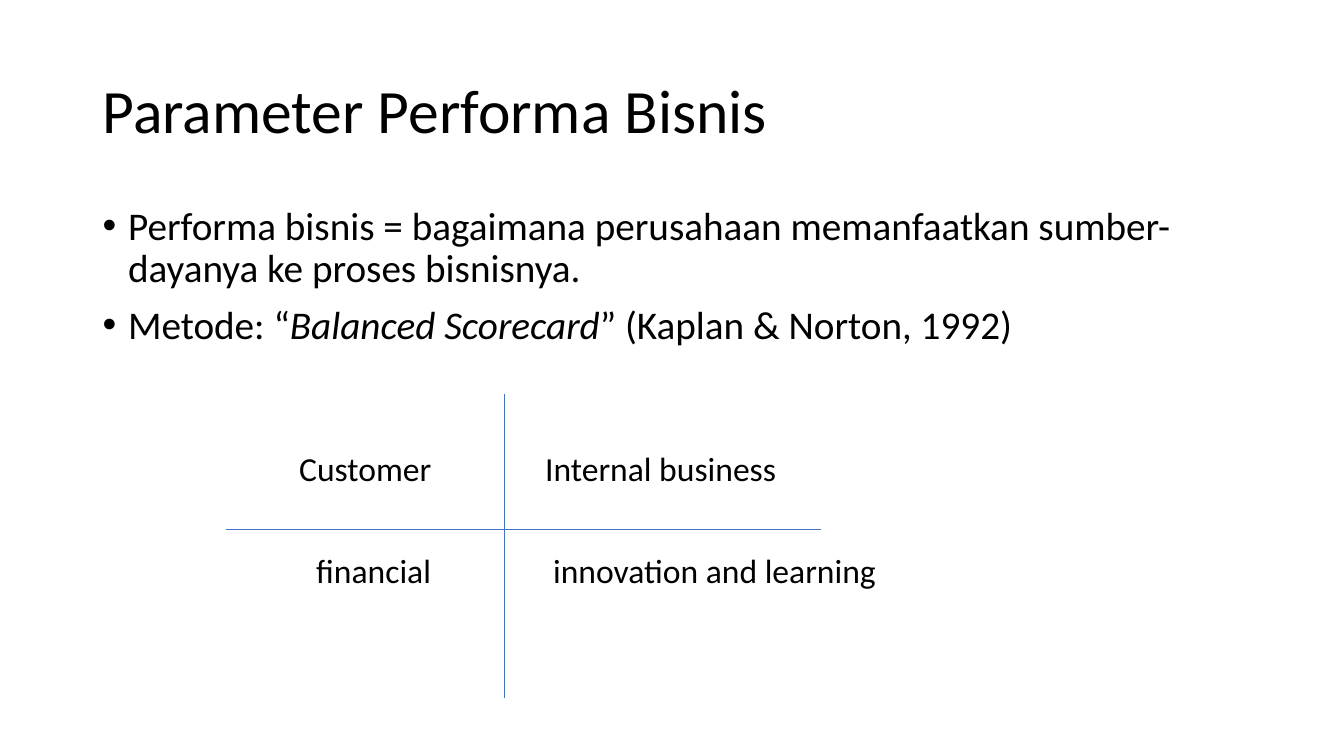
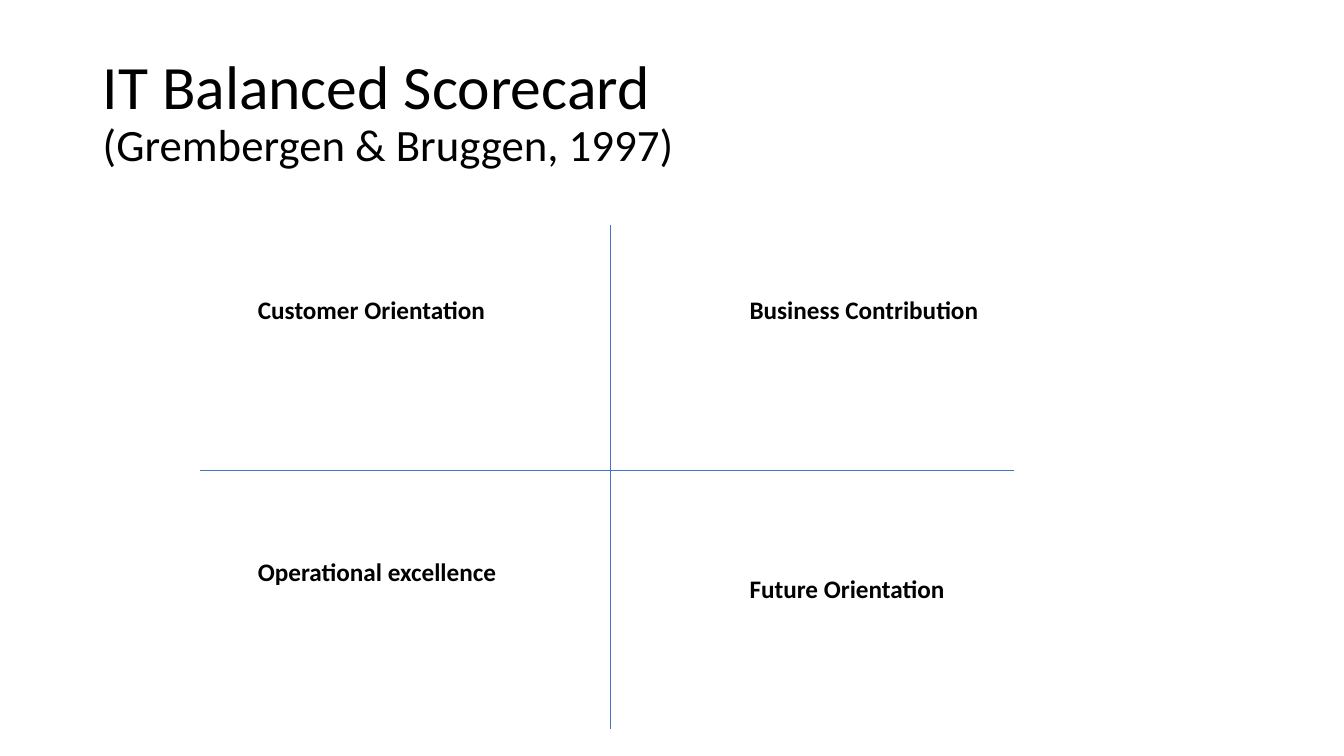
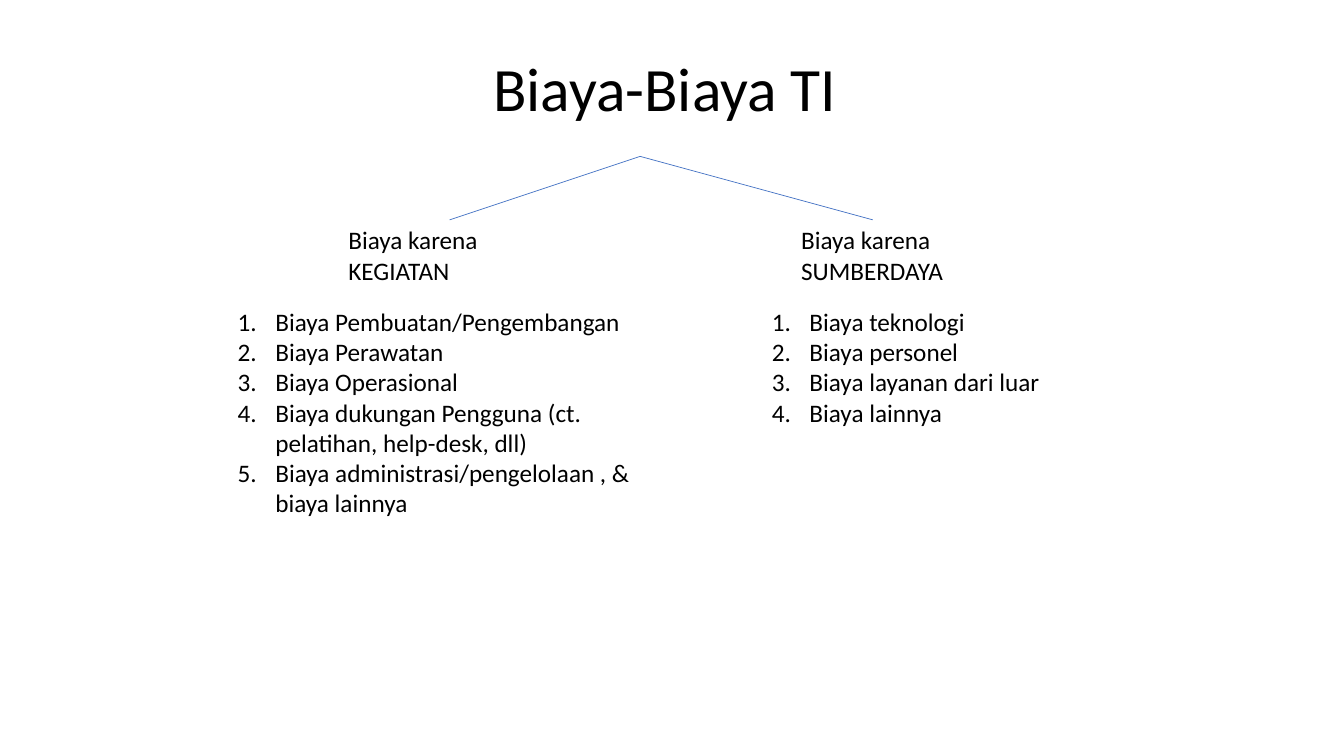
from lxml import etree
from pptx import Presentation
from pptx.dml.color import RGBColor
from pptx.enum.shapes import MSO_CONNECTOR
from pptx.enum.text import MSO_ANCHOR, MSO_AUTO_SIZE, PP_ALIGN
from pptx.oxml.ns import qn
from pptx.util import Cm, Pt

BLACK = RGBColor(0x00, 0x00, 0x00)
BLUE = RGBColor(0x44, 0x72, 0xC4)
WHITE = RGBColor(0xFF, 0xFF, 0xFF)
FONT = "Calibri"
STRAIGHT = MSO_CONNECTOR.STRAIGHT
MIDDLE = MSO_ANCHOR.MIDDLE
GROW = MSO_AUTO_SIZE.SHAPE_TO_FIT_TEXT
LEFT, CENTER = PP_ALIGN.LEFT, PP_ALIGN.CENTER

# Shared formats
TEXT = {"name": FONT, "size": Pt(18)}
BIG = {"size": Pt(44)}
SUB = {"size": Pt(32)}
BODY = {"size": Pt(28)}
LABEL = {"size": Pt(24)}
BOLD = {"bold": True}
LABEL_BOX = {"word_wrap": False, "auto_size": GROW}
LIST_BOX = {"word_wrap": True, "auto_size": GROW}
TITLE_BOX = {"word_wrap": True, "vertical_anchor": MIDDLE}
TIGHT = {"line_spacing": 0.9}
TITLE_AT = (2.34, 1.02, 29.21, 3.68)
DOT = ("buChar", {"char": "•"})
NUMBER = ("buAutoNum", {"type": "arabicPeriod"})


def assign(item, values):
    for key, value in values.items():
        setattr(item, key, value)


def add_text(slide, at, paras, frame, para=None):
    """Each paragraph is a list of (text, format) runs."""
    box = slide.shapes.add_textbox(*map(Cm, at))
    assign(box.text_frame, frame)
    for i, runs in enumerate(paras):
        p = box.text_frame.paragraphs[0] if i == 0 else box.text_frame.add_paragraph()
        assign(p, para or {})
        for text, form in runs:
            run = p.add_run()
            run.text = text
            assign(run.font, {**TEXT, **form})
            run.font.color.rgb = BLACK
    return box


def add_title(slide, lines, at=TITLE_AT, align=LEFT):
    paras = [[line] for line in lines]
    add_text(slide, at, paras, TITLE_BOX, {**TIGHT, "alignment": align})


def add_label(slide, at, lines, form):
    return add_text(slide, at, [[(line, form)] for line in lines], LABEL_BOX)


def add_list(slide, at, paras, mark, indent, frame, para=None):
    box = add_text(slide, at, paras, frame, para)
    tag, values = mark
    for p in box.text_frame.paragraphs:
        props = p._p.get_or_add_pPr()
        props.set("marL", str(Cm(indent)))
        props.set("indent", str(-Cm(indent)))
        font = etree.SubElement(props, qn("a:buFont"))
        font.set("typeface", "Arial" if mark is DOT else "+mj-lt")
        etree.SubElement(props, qn("a:" + tag), values)


def add_line(slide, start, end):
    line = slide.shapes.add_connector(STRAIGHT, *map(Cm, start + end))
    line.line.color.rgb = BLUE
    line.line.width = Pt(0.5)
    etree.SubElement(line._element.spPr, qn("a:effectLst"))
    return line


def add_cross(slide, x, y, left, right, top, bottom):
    add_line(slide, (x, top), (x, bottom))
    add_line(slide, (left, y), (right, y))


def add_slide(deck):
    slide = deck.slides.add_slide(deck.slide_layouts[6])
    slide.background.fill.solid()
    slide.background.fill.fore_color.rgb = WHITE
    return slide


def make_params(deck):
    slide = add_slide(deck)
    add_title(slide, [("Parameter Performa Bisnis", BIG)])
    points = [
        [("Performa bisnis = bagaimana perusahaan memanfaatkan "
          "sumber-dayanya ke proses bisnisnya.", BODY)],
        [("Metode: “", BODY),
         ("Balanced Scorecard", {**BODY, "italic": True}),
         ("” (Kaplan & Norton, 1992)", BODY)],
    ]
    add_list(slide, (2.34, 5.08, 29.21, 4.17), points, DOT, 0.64,
             {"word_wrap": True}, {**TIGHT, "space_before": Pt(10)})
    # Four perspectives
    add_cross(slide, 12.7, 13.34, 5.69, 20.7, 9.93, 17.58)
    for text, x, y, width in (
        ("Customer", 7.29, 11.15, 4.11),
        ("Internal business", 13.49, 11.15, 6.86),
        ("innovation and learning", 13.69, 13.74, 9.37),
        ("financial", 7.72, 13.74, 3.73),
    ):
        add_label(slide, (x, y, width, 1.3), [text], LABEL)


def make_score(deck):
    slide = add_slide(deck)
    add_title(slide, [("IT Balanced Scorecard", BIG),
                      ("(Grembergen & Bruggen, 1997)", SUB)])
    # Four orientations
    add_cross(slide, 15.39, 11.84, 5.03, 25.55, 5.66, 18.36)
    for text, x, y, width in (
        ("Business Contribution", 18.64, 7.29, 7.32),
        ("Customer Orientation", 6.25, 7.29, 7.21),
        ("Operational excellence", 6.25, 13.89, 7.47),
        ("Future Orientation", 18.64, 14.33, 6.3),
    ):
        add_label(slide, (x, y, width, 1.02), [text], BOLD)


def make_costs(deck):
    slide = add_slide(deck)
    add_title(slide, [("Biaya-Biaya TI", BIG)], (5.33, 0.71, 22.86, 3.18), CENTER)
    # Two branches from one apex
    apex, top = (16.13, 3.94), 5.54
    add_label(slide, (8.53, top, 3.81, 1.8), ["Biaya karena", "KEGIATAN"], {})
    source = add_label(slide, (19.94, top, 4.11, 1.8),
                       ["Biaya karena", "SUMBERDAYA"], {})
    add_line(slide, (11.33, top), apex)
    add_line(slide, (22, top), apex).begin_connect(source, 0)
    # Numbered costs
    for x, width, height, items in (
        (5.74, 10.8, 5.64, (
            "Biaya Pembuatan/Pengembangan",
            "Biaya Perawatan",
            "Biaya Operasional",
            "Biaya dukungan Pengguna (ct. pelatihan, help-desk, dll)",
            "Biaya administrasi/pengelolaan , & biaya lainnya")),
        (19.2, 8.86, 3.33, (
            "Biaya teknologi",
            "Biaya personel",
            "Biaya layanan dari luar",
            "Biaya lainnya")),
    ):
        add_list(slide, (x, 7.59, width, height),
                 [[(item, {})] for item in items], NUMBER, 0.95, LIST_BOX)


def main():
    deck = Presentation()
    deck.slide_width, deck.slide_height = Cm(33.87), Cm(19.05)
    make_params(deck)
    make_score(deck)
    make_costs(deck)
    deck.save("out.pptx")


if __name__ == "__main__":
    main()
